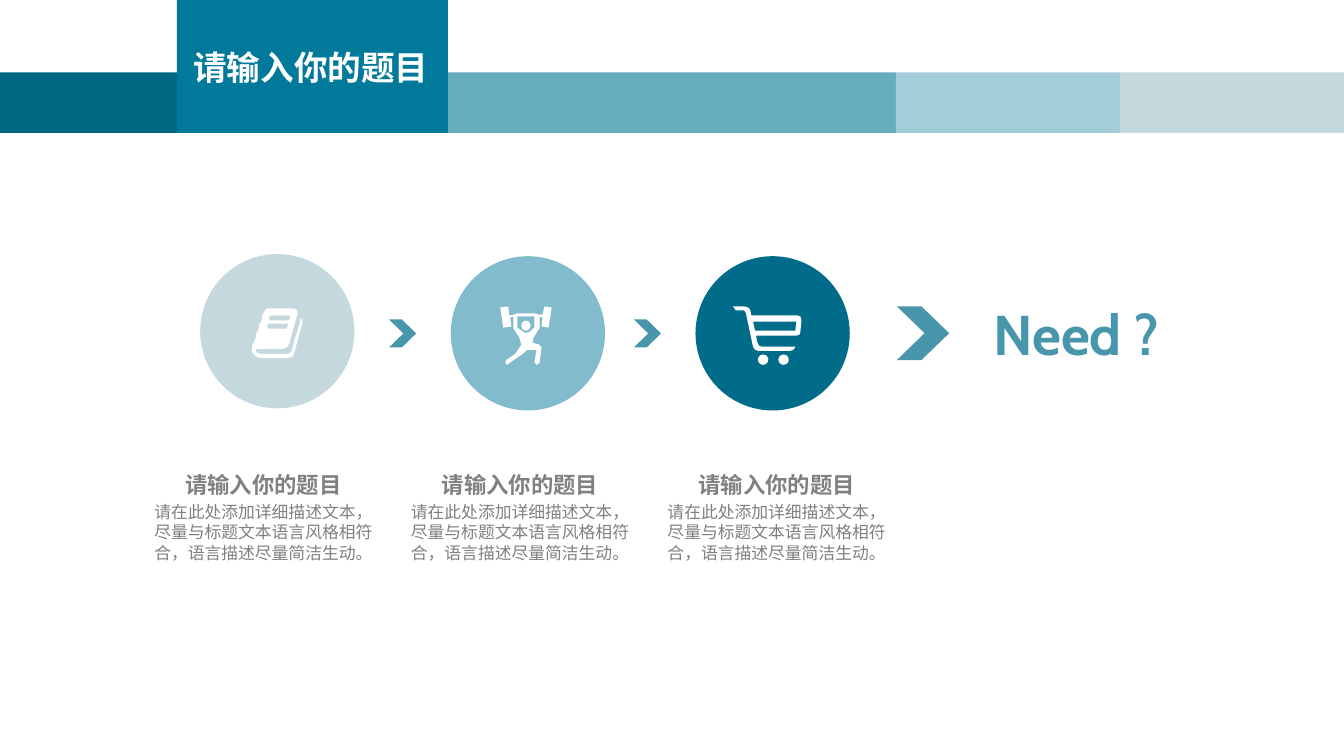
from dataclasses import dataclass

from lxml.etree import SubElement
from pptx import Presentation
from pptx.dml.color import RGBColor
from pptx.enum.shapes import MSO_SHAPE
from pptx.enum.text import MSO_ANCHOR, PP_ALIGN
from pptx.oxml.ns import qn
from pptx.util import Pt


@dataclass(frozen=True)
class Theme:
    """Hold the colours, fonts and type sizes."""
    white: str = "FFFFFF"
    grey: str = "808080"
    dark: str = "006783"
    main: str = "00799B"
    mid: str = "66ACBF"
    light: str = "A3CDD9"
    pale: str = "C4D8DE"
    sky: str = "82BCCC"
    deep: str = "006C8A"
    accent: str = "4796AB"
    cjk: str = "Noto Sans CJK SC"
    head: str = "Cabin"
    body: str = "Lato"
    title: int = 24
    big: int = 40
    label: int = 16
    note: int = 12


def write(frame, text, *, face, size, color, bold=False, align=PP_ALIGN.CENTER):
    """Put formatted text into a text frame."""
    par = frame.paragraphs[0]
    par.alignment = align
    run = par.add_run()
    run.text = text
    font = run.font
    font.size, font.bold, font.name = Pt(size), bold, face
    font.color.rgb = RGBColor.from_string(color)
    SubElement(run._r.get_or_add_rPr(), qn("a:ea"), typeface=face)


class Board:
    """Draw styled elements on one slide."""

    def __init__(self, slide, theme):
        """Keep the slide and its theme."""
        self.slide, self.theme = slide, theme

    def paint(self, shape, color):
        """Give a shape a plain fill."""
        shape.shadow.inherit = False
        shape.fill.solid()
        shape.fill.fore_color.rgb = RGBColor.from_string(color)
        shape.line.fill.background()
        return shape

    def shape(self, kind, x, y, w, h, color):
        """Add a preset shape."""
        new = self.slide.shapes.add_shape(kind, Pt(x), Pt(y), Pt(w), Pt(h))
        return self.paint(new, color)

    def bar(self, x, y, w, h, color):
        """Add a rectangle."""
        self.shape(MSO_SHAPE.RECTANGLE, x, y, w, h, color)

    def disc(self, x, y, w, h, color):
        """Add an ellipse."""
        self.shape(MSO_SHAPE.OVAL, x, y, w, h, color)

    def arrow(self, x, y, w, h):
        """Add a chevron."""
        new = self.shape(MSO_SHAPE.CHEVRON, x, y, w, h, self.theme.accent)
        new.adjustments[0] = 0.53

    def icon(self, x, y, *loops):
        """Add a white outline made of closed loops."""
        start, *rest = loops[0]
        pen = self.slide.shapes.build_freeform(*start, scale=Pt(0.72))
        pen.add_line_segments(rest)
        for start, *rest in loops[1:]:
            pen.move_to(*start)
            pen.add_line_segments(rest)
        self.paint(pen.convert_to_shape(Pt(x), Pt(y)), self.theme.white)

    def text(self, x, y, w, h, text, wrap=True, anchor=MSO_ANCHOR.TOP, **style):
        """Add a text box."""
        frame = self.slide.shapes.add_textbox(Pt(x), Pt(y), Pt(w), Pt(h)).text_frame
        frame.word_wrap = wrap
        frame.vertical_anchor = anchor
        write(frame, text, **style)


BOOK = (
    [(48, 10), (50, 11), (50, 15), (42, 44), (40, 48), (36, 49), (8, 49), (3, 47),
     (0, 43), (0, 39), (1, 37), (0, 36), (2, 34), (4, 28), (4, 25), (6, 22), (7, 18),
     (7, 16), (9, 13), (10, 10), (10, 7), (12, 4), (13, 2), (15, 0), (18, 0), (41, 0),
     (44, 1), (45, 3), (45, 6), (37, 35), (35, 38), (31, 40), (4, 40), (4, 42),
     (5, 44), (8, 45), (36, 45), (39, 43), (48, 12)],
    [(15, 18), (16, 20), (34, 20), (35, 18), (36, 16), (35, 15), (17, 15), (15, 16)],
    [(17, 11), (18, 12), (36, 12), (37, 11), (38, 9), (37, 7), (19, 7), (17, 9)],
)
LIFTER = (
    [(51, 1), (48, 21), (41, 20), (42, 11), (39, 10), (39, 22), (38, 23), (33, 31),
     (32, 36), (39, 38), (41, 41), (39, 56), (36, 58), (34, 55), (36, 43), (27, 43),
     (20, 49), (18, 50), (8, 57), (7, 58), (5, 56), (6, 53), (15, 47), (21, 38),
     (19, 31), (14, 23), (13, 22), (13, 10), (10, 11), (11, 20), (3, 21), (0, 1),
     (8, 0), (9, 9), (14, 8), (16, 7), (35, 7), (38, 8), (42, 8), (44, 0)],
    [(34, 10), (17, 10), (17, 21), (24, 26), (28, 26), (34, 21)],
)
CART = (
    [(67, 10), (64, 9), (18, 9), (18, 7), (17, 3), (15, 1), (11, 0), (0, 0), (3, 4),
     (11, 4), (12.5, 5), (13, 7), (20, 40), (22, 43), (25, 44), (29, 44), (57, 44),
     (60, 43), (62, 40), (29, 40), (26, 39), (24, 35), (23, 29), (63, 29), (66, 28),
     (67, 25), (68, 13)],
    [(62, 24), (22, 24), (20, 15), (63, 15)],
)


def main():
    """Build and save the slide."""
    deck = Presentation()
    deck.slide_width, deck.slide_height = Pt(960), Pt(540)
    look = Theme()
    board = Board(deck.slides.add_slide(deck.slide_layouts[6]), look)
    title = "请输入你的题目"
    note = "请在此处添加详细描述文本，尽量与标题文本语言风格相符合，语言描述尽量简洁生动。"

    bands = {0: look.dark, 2: look.mid, 3: look.mid, 4: look.light, 5: look.pale}
    for col, color in bands.items():
        board.bar(160 * col, 51.8, 160, 43.2, color)
    board.bar(126.4, 0, 193.6, 95, look.main)
    board.text(131, 30, 184.3, 36, title, wrap=False, anchor=MSO_ANCHOR.MIDDLE,
               face=look.cjk, size=look.title, color=look.white, bold=True,
               align=PP_ALIGN.LEFT)

    for x, y, color in ((143, 181.5, look.pale), (322, 183, look.sky),
                        (496.8, 183, look.deep)):
        board.disc(x, y, 110.2, 110.2, color)
    for x, y, loops in ((180, 220.3, BOOK), (357.3, 218.9, LIFTER),
                        (523.5, 218.9, CART)):
        board.icon(x, y, *loops)
    board.disc(372.4, 229, 6.5, 7.2, look.white)
    for x in (541.4, 556):
        board.disc(x, 253.2, 7.4, 7.4, look.white)

    for x in (277.9, 452.8):
        board.arrow(x, 228.2, 19.4, 20)
    board.arrow(640.6, 218.8, 37.4, 38.4)
    board.text(698.4, 210.2, 141.1, 55.4, "Need ?", face=look.head,
               size=look.big, color=look.accent, bold=True)

    for col in range(3):
        x = 102.2 + 183.3 * col
        board.text(x + 22.3, 332.8, 127.4, 26.6, title, wrap=False, face=look.head,
                   size=look.label, color=look.grey, bold=True)
        board.text(x, 355, 172, 51, note, face=look.body, size=look.note,
                   color=look.grey)

    deck.save("out.pptx")


if __name__ == "__main__":
    main()
